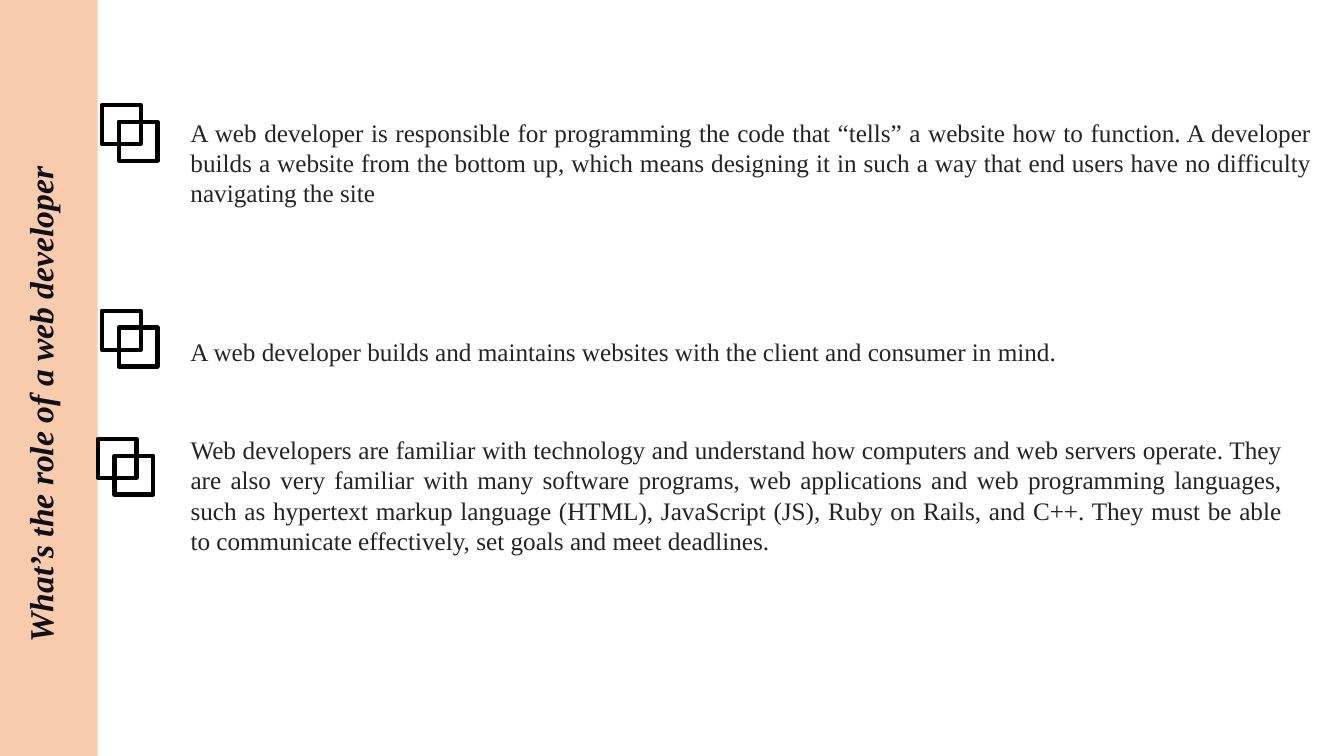
from dataclasses import dataclass

from pptx import Presentation
from pptx.dml.color import RGBColor
from pptx.enum.shapes import MSO_SHAPE as Preset
from pptx.enum.text import MSO_AUTO_SIZE as AutoSize, PP_ALIGN as Align
from pptx.shapes.autoshape import Shape
from pptx.slide import Slide
from pptx.util import Emu, Pt

PX = 9525
SLIDE_W, SLIDE_H = 1280, 720
BAR_W = 93
BODY_LEFT = 172
SQUARE, SQUARE_STEP = 37, 16
FONT = "Times New Roman"
PEACH, INK, NAVY, BLACK = "F8CBAD", "242424", "0F0F19", "000000"


@dataclass(frozen=True)
class Duty:
    """A paragraph about the role, with the place of its bullet of two squares."""
    text: str
    top: int
    width: int
    height: int
    icon_left: int
    icon_top: int


DUTIES = [
    Duty("A web developer is responsible for programming the code that “tells” a website "
         "how to function. A developer builds a website from the bottom up, which means "
         "designing it in such a way that end users have no difficulty navigating the site",
         107, 1087, 97, 97, 100),
    Duty("A web developer builds and maintains websites with the client and consumer in mind.",
         316, 1105, 38, 97, 296),
    Duty("Web developers are familiar with technology and understand how computers and web "
         "servers operate. They are also very familiar with many software programs, web "
         "applications and web programming languages, such as hypertext markup language "
         "(HTML), JavaScript (JS), Ruby on Rails, and C++. They must be able to communicate "
         "effectively, set goals and meet deadlines.",
         409, 1059, 126, 93, 418),
]


def px(length: int) -> Emu:
    """Turn whole pixels into EMU."""
    return Emu(length * PX)


def color(value: str) -> RGBColor:
    """Turn a hex string into a colour."""
    return RGBColor.from_string(value)


def add_text(slide: Slide, text: str, left: int, top: int, width: int, height: int, *,
             size: int = 18, ink: str = INK, bold: bool = False, italic: bool = False,
             align: Align = Align.JUSTIFY, vert: str = "horz") -> Shape:
    """Add a wrapped text box holding one formatted paragraph."""
    box = slide.shapes.add_textbox(px(left), px(top), px(width), px(height))
    frame = box.text_frame
    frame.word_wrap = True
    frame.auto_size = AutoSize.SHAPE_TO_FIT_TEXT
    box.element.txBody.bodyPr.set("vert", vert)
    paragraph = frame.paragraphs[0]
    paragraph.alignment = align
    run = paragraph.add_run()
    run.text = text
    font = run.font
    font.name, font.size, font.bold, font.italic = FONT, Pt(size), bold, italic
    font.color.rgb = color(ink)
    return box


def add_bar(slide: Slide) -> None:
    """Draw the coloured band behind the title."""
    bar = slide.shapes.add_shape(Preset.RECTANGLE, 0, 0, px(BAR_W), px(SLIDE_H))
    bar.shadow.inherit = False
    bar.fill.solid()
    bar.fill.fore_color.rgb = color(PEACH)
    bar.line.fill.background()


def add_icon(slide: Slide, duty: Duty) -> None:
    """Draw two overlapping outlined squares as one group."""
    icon = slide.shapes.add_group_shape()
    for shift in (0, SQUARE_STEP):
        square = icon.shapes.add_shape(Preset.RECTANGLE, px(duty.icon_left + shift),
                                       px(duty.icon_top + shift), px(SQUARE), px(SQUARE))
        square.shadow.inherit = False
        square.fill.background()
        square.line.color.rgb = color(BLACK)
        square.line.width = Pt(3)


def main() -> None:
    """Build the slide and save it."""
    deck = Presentation()
    deck.slide_width, deck.slide_height = px(SLIDE_W), px(SLIDE_H)
    slide = deck.slides.add_slide(deck.slide_layouts[6])
    for duty in DUTIES:
        add_text(slide, duty.text, BODY_LEFT, duty.top, duty.width, duty.height)
    add_bar(slide)
    add_text(slide, "What’s the role of a web developer", 14, 40, 59, 581, size=24,
             ink=NAVY, bold=True, italic=True, align=Align.LEFT, vert="vert270")
    for duty in DUTIES:
        add_icon(slide, duty)
    deck.save("out.pptx")


if __name__ == "__main__":
    main()
